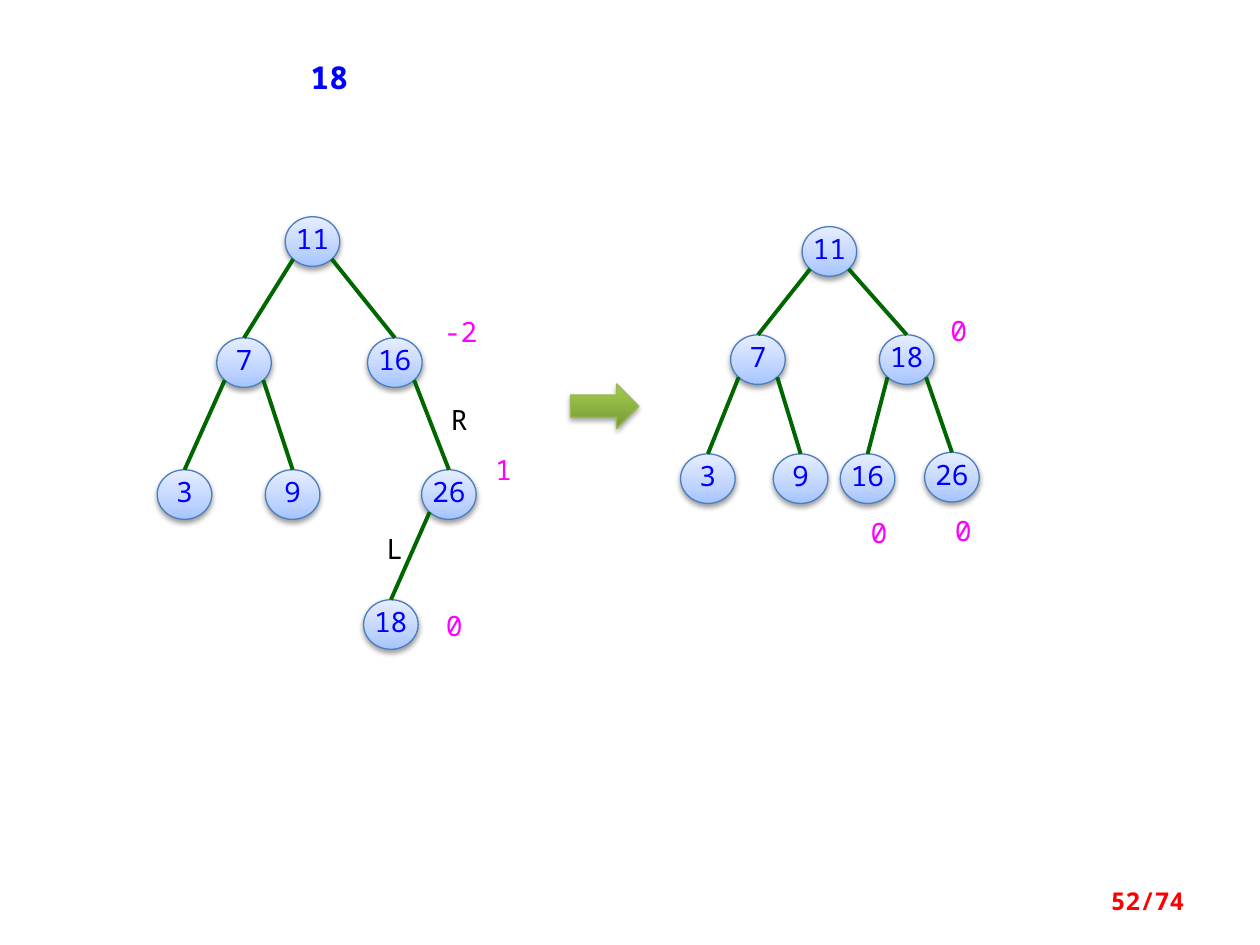
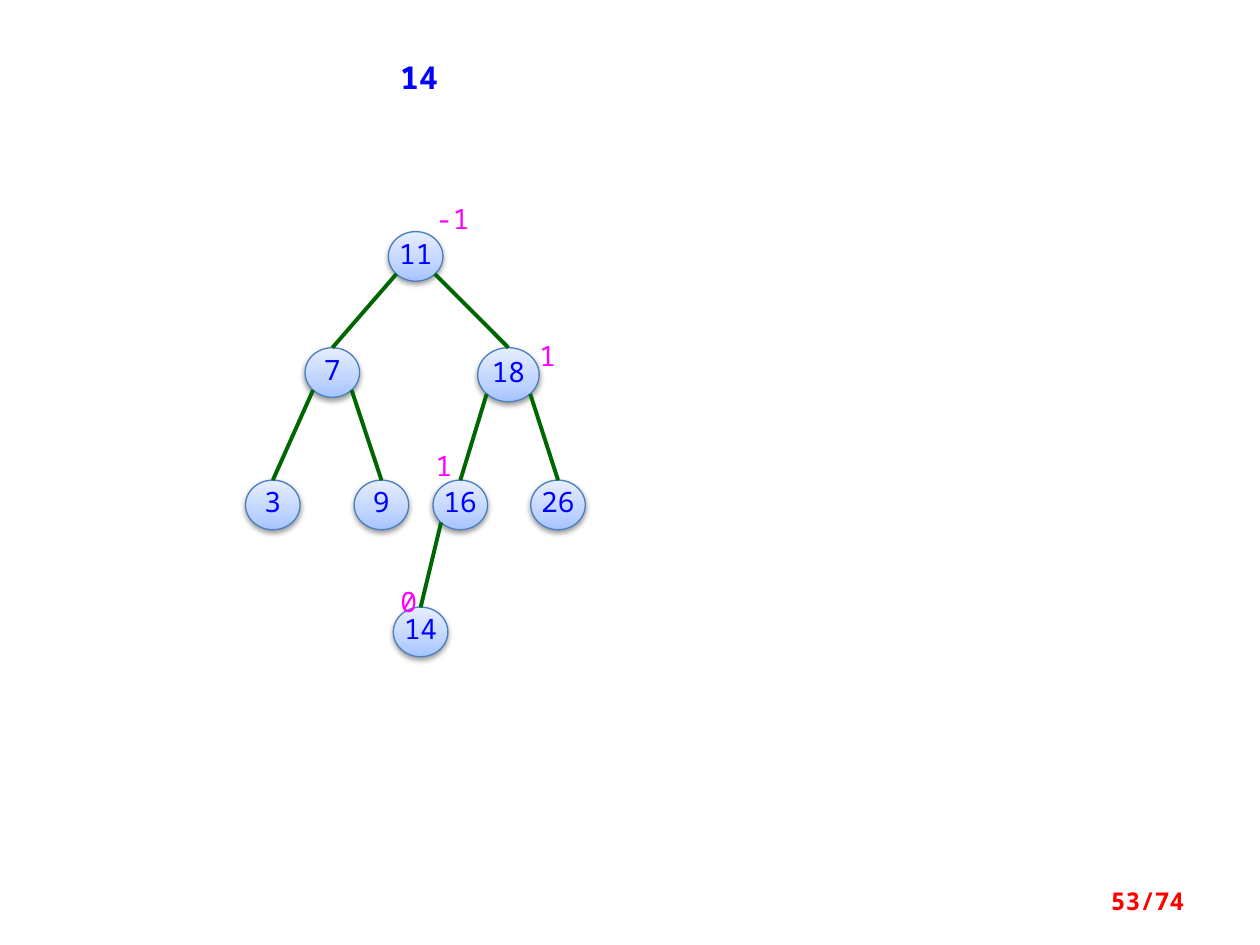
"""Build two slides that show insertions into a balanced search tree."""
from dataclasses import dataclass
from math import sqrt

from lxml import etree
from pptx import Presentation
from pptx.dml.color import RGBColor
from pptx.enum.shapes import MSO_CONNECTOR, MSO_SHAPE
from pptx.enum.text import MSO_ANCHOR, PP_ALIGN
from pptx.oxml.ns import qn
from pptx.util import Cm, Pt

OVAL = MSO_SHAPE.OVAL
RIGHT_ARROW = MSO_SHAPE.RIGHT_ARROW
STRAIGHT = MSO_CONNECTOR.STRAIGHT
TOP, MIDDLE = MSO_ANCHOR.TOP, MSO_ANCHOR.MIDDLE
CENTER, RIGHT = PP_ALIGN.CENTER, PP_ALIGN.RIGHT


@dataclass(frozen=True)
class Theme:
    font: str = "Noto Sans Mono"
    key: str = "0000FF"
    balance: str = "FF00FF"
    side: str = "000000"
    footer: str = "FF0000"
    edge: str = "006600"
    node_line: str = "4B7EBC"
    node_stops: tuple = ((0, "A4C4FF"), (35, "BFD4FF"), (100, "E6EEFF"))
    arrow_line: str = "98B955"
    arrow_stops: tuple = ((0, "779737"), (80, "9BC348"), (100, "9DC746"))
    title_size: int = 18
    node_size: int = 16
    footer_size: int = 14


THEME = Theme()
NODE = (1.1, 1.0)
LARGE_NODE = (1.24, 1.09)
LABEL_HEIGHT = 0.81
PAGE_TOTAL = 74

# Each tree maps a key to (left, top, parent, size); a smaller key hangs to the left.
BEFORE_ROTATION = {
    11: (5.75, 4.37, None, NODE),
    7: (4.37, 6.81, 11, NODE),
    16: (7.41, 6.81, 11, NODE),
    3: (3.17, 9.47, 7, NODE),
    9: (5.35, 9.47, 7, NODE),
    26: (8.5, 9.47, 16, NODE),
    18: (7.33, 12.09, 26, NODE),
}
AFTER_ROTATION = {
    11: (16.17, 4.57, None, NODE),
    7: (14.73, 6.75, 11, NODE),
    18: (17.73, 6.75, 11, NODE),
    3: (13.72, 9.15, 7, NODE),
    9: (15.59, 9.15, 7, NODE),
    16: (16.94, 9.15, 18, NODE),
    26: (18.64, 9.12, 18, NODE),
}
NEXT_INSERTION = {
    11: (7.83, 4.67, None, NODE),
    7: (6.15, 7.01, 11, NODE),
    18: (9.63, 7.01, 11, LARGE_NODE),
    3: (4.95, 9.68, 7, NODE),
    9: (7.14, 9.68, 7, NODE),
    16: (8.73, 9.68, 18, NODE),
    26: (10.7, 9.68, 18, NODE),
    14: (7.93, 12.24, 16, NODE),
}
PAGES = [
    {
        "number": 52,
        "inserted": ("18", 5.94),
        "trees": [BEFORE_ROTATION, AFTER_ROTATION],
        "arrow": (11.5, 7.74, 1.38, 0.9),
        "balances": [
            ("-2", 8.53, 6.35, 1.52), ("1", 9.73, 9.12, 0.69), ("0", 8.74, 12.27, 0.69),
            ("0", 18.82, 6.32, 1.02), ("0", 17.3, 10.39, 0.69), ("0", 19.0, 10.36, 0.69),
        ],
        "sides": [("R", 8.84, 8.13, 0.69), ("L", 7.54, 10.72, 0.69)],
    },
    {
        "number": 53,
        "inserted": ("14", 7.75),
        "trees": [NEXT_INSERTION],
        "arrow": None,
        "balances": [
            ("-1", 8.53, 4.06, 1.19), ("1", 10.52, 6.83, 1.04),
            ("1", 8.53, 9.04, 0.71), ("0", 7.82, 11.79, 0.71),
        ],
        "sides": [],
    },
]


def apply(target, values):
    for name, value in values.items():
        setattr(target, name, value)


def write(box, text, color, size, bold=False, align=CENTER, spacing=0.8, anchor=TOP, wrap=True):
    apply(box.text_frame, {"word_wrap": wrap, "vertical_anchor": anchor})
    para = box.text_frame.paragraphs[0]
    apply(para, {"alignment": align, "line_spacing": spacing, "space_before": Pt(0)})
    span = para.add_run()
    span.text = text
    apply(span.font, {"name": THEME.font, "size": Pt(size), "bold": bold})
    span.font.color.rgb = RGBColor.from_string(color)


def add_text(page, place, text, color, size, **formats):
    box = page.shapes.add_textbox(*map(Cm, place))
    write(box, text, color, size, **formats)


def add_color(parent, tag, color, **attributes):
    holder = etree.SubElement(parent, qn(tag), attributes)
    return etree.SubElement(holder, qn("a:srgbClr"), val=color)


def add_glossy(page, kind, place, stops, line, opacity, distance):
    shape = page.shapes.add_shape(kind, *map(Cm, place))
    shape.fill.gradient()
    shape.fill.gradient_angle = 90
    properties = shape.element.spPr
    stop_list = properties.find(".//" + qn("a:gsLst"))
    for stop in list(stop_list):
        stop_list.remove(stop)
    for position, color in stops:
        add_color(stop_list, "a:gs", color, pos=str(position * 1000))
    shape.line.color.rgb = RGBColor.from_string(line)
    shape.line.width = Pt(0.75)
    shape.shadow.inherit = False
    shadow = add_color(
        properties.find(qn("a:effectLst")), "a:outerShdw", "000000",
        blurRad=str(Pt(3.1)), dist=str(Pt(distance)), dir="5400000", rotWithShape="0",
    )
    etree.SubElement(shadow, qn("a:alpha"), val=str(opacity * 1000))
    return shape


def add_edge(page, tree, key):
    left, top, parent, (width, _) = tree[key]
    parent_left, parent_top, _, (parent_width, parent_height) = tree[parent]
    reach = sqrt(0.5) if key > parent else -sqrt(0.5)
    start = (
        parent_left + parent_width / 2 * (1 + reach),
        parent_top + parent_height / 2 * (1 + sqrt(0.5)),
    )
    edge = page.shapes.add_connector(STRAIGHT, *map(Cm, (*start, left + width / 2, top)))
    edge.line.color.rgb = RGBColor.from_string(THEME.edge)
    edge.line.width = Pt(2.25)
    etree.SubElement(edge.element.spPr, qn("a:effectLst"))


def add_tree(page, tree):
    for key, (left, top, _, size) in tree.items():
        node = add_glossy(page, OVAL, (left, top, *size), THEME.node_stops, THEME.node_line, 38, 1.6)
        write(node, str(key), THEME.key, THEME.node_size, anchor=MIDDLE, wrap=False)
    for key, (_, _, parent, _) in tree.items():
        if parent is not None:
            add_edge(page, tree, key)


def add_page(deck, content):
    page = deck.slides.add_slide(deck.slide_layouts[6])
    text, left = content["inserted"]
    add_text(page, (left, 1.19, 1.4, 0.87), text, THEME.key, THEME.title_size, bold=True)
    for tree in content["trees"]:
        add_tree(page, tree)
    if content["arrow"]:
        add_glossy(page, RIGHT_ARROW, content["arrow"], THEME.arrow_stops, THEME.arrow_line, 35, 1.8)
    for group, color in (("balances", THEME.balance), ("sides", THEME.side)):
        for text, left, top, width in content[group]:
            add_text(page, (left, top, width, LABEL_HEIGHT), text, color, THEME.node_size)
    add_text(
        page, (18.2, 17.65, 5.93, 1.02), f"{content['number']}/{PAGE_TOTAL}", THEME.footer,
        THEME.footer_size, bold=True, align=RIGHT, spacing=1.0, anchor=MIDDLE,
    )


def main():
    deck = Presentation()
    apply(deck, {"slide_width": Cm(25.4), "slide_height": Cm(19.05)})
    for content in PAGES:
        add_page(deck, content)
    deck.save("out.pptx")


if __name__ == "__main__":
    main()
